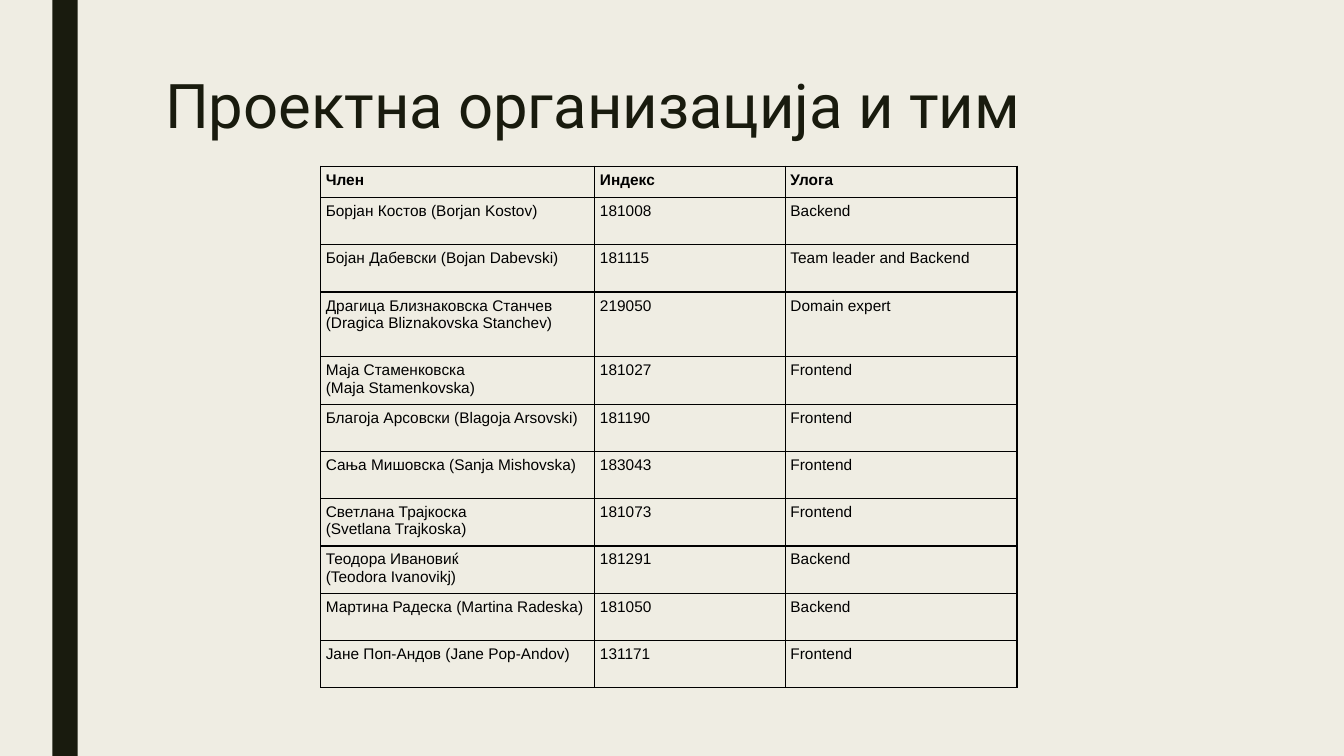
from lxml import etree
from pptx import Presentation
from pptx.dml.color import RGBColor
from pptx.enum.shapes import MSO_SHAPE as Shape
from pptx.enum.text import MSO_ANCHOR as Anchor
from pptx.oxml.ns import qn
from pptx.util import Cm, Pt

CREAM, DARK, BLACK = "EFEDE3", "191B0E", "000000"
BLANK = 6
COL_WIDTHS = [6.91, 4.8, 5.84]
HEADER_HEIGHT, ROW_HEIGHT, TALL_HEIGHT = 0.79, 1.19, 1.63
TALL_ROW = 3
CELL_MARGIN = 0.13

TEAM = [
    ("Член", "Индекс", "Улога"),
    ("Борјан Костов (Borjan Kostov)", "181008", "Backend"),
    ("Бојан Дабевски (Bojan Dabevski)", "181115", "Team leader and Backend"),
    ("Драгица Близнаковска Станчев (Dragica Bliznakovska Stanchev)",
     "219050", "Domain expert"),
    ("Маја Стаменковска\n(Maja Stamenkovska)", "181027", "Frontend"),
    ("Благоја Арсовски (Blagoja Arsovski)", "181190", "Frontend"),
    ("Сања Мишовска (Sanja Mishovska)", "183043", "Frontend"),
    ("Светлана Трајкоска\n(Svetlana Trajkoska)", "181073", "Frontend"),
    ("Теодора Ивановиќ\n(Teodora Ivanovikj)", "181291", "Backend"),
    ("Мартина Радеска (Martina Radeska)", "181050", "Backend"),
    ("Јане Поп-Андов (Jane Pop-Andov)", "131171", "Frontend"),
]


def rgb(value):
    return RGBColor.from_string(value)


def fill_solid(fill, color):
    fill.solid()
    fill.fore_color.rgb = rgb(color)


def set_text(tf, text, font, size, color, bold=False):
    tf.text = text
    for p in tf.paragraphs:
        p.font.name = font
        p.font.size = Pt(size)
        p.font.bold = bold
        p.font.color.rgb = rgb(color)


def add_bar(s, left, width, height):
    sp = s.shapes.add_shape(Shape.RECTANGLE, Cm(left), 0, Cm(width), height)
    sp.shadow.inherit = False
    fill_solid(sp.fill, DARK)
    sp.line.fill.background()


def add_title(s, text):
    tf = s.shapes.add_textbox(Cm(3.91), Cm(1.78), Cm(26.67), Cm(4.11)).text_frame
    tf.word_wrap = True
    tf.vertical_anchor = Anchor.TOP
    set_text(tf, text, "Roboto", 44, DARK)
    tf.paragraphs[0].line_spacing = 0.89


def set_borders(cell, color, width):
    # Borders come before the fill in the cell properties
    props = cell._tc.get_or_add_tcPr()
    for i, side in enumerate(("lnL", "lnR", "lnT", "lnB")):
        ln = etree.Element(qn(f"a:{side}"), w=str(Pt(width)))
        solid = etree.SubElement(ln, qn("a:solidFill"))
        etree.SubElement(solid, qn("a:srgbClr"), val=color)
        props.insert(i, ln)


def format_cell(cell, text, bold):
    cell.margin_left = cell.margin_right = Cm(CELL_MARGIN)
    cell.margin_top = cell.margin_bottom = Cm(CELL_MARGIN)
    cell.vertical_anchor = Anchor.TOP
    cell.fill.background()
    set_borders(cell, BLACK, 1)
    set_text(cell.text_frame, text, "Arial", 11, BLACK, bold)


def add_team_table(s, rows):
    heights = [ROW_HEIGHT] * len(rows)
    heights[0], heights[TALL_ROW] = HEADER_HEIGHT, TALL_HEIGHT
    table = s.shapes.add_table(len(rows), len(COL_WIDTHS), Cm(8.08), Cm(4.19),
                               Cm(sum(COL_WIDTHS)), Cm(sum(heights))).table
    table.first_row = table.horz_banding = False
    for column, width in zip(table.columns, COL_WIDTHS):
        column.width = Cm(width)
    for r, (values, height) in enumerate(zip(rows, heights)):
        table.rows[r].height = Cm(height)
        for c, text in enumerate(values):
            format_cell(table.cell(r, c), text, bold=r == 0)


def main():
    prs = Presentation()
    prs.slide_width, prs.slide_height = Cm(33.87), Cm(19.05)
    s = prs.slides.add_slide(prs.slide_layouts[BLANK])

    # Background and side bar
    fill_solid(s.background.fill, CREAM)
    add_bar(s, 1.32, 0.64, prs.slide_height)

    # Title and team members
    add_title(s, "Проектна организација и тим")
    add_team_table(s, TEAM)

    prs.save("out.pptx")


if __name__ == "__main__":
    main()
